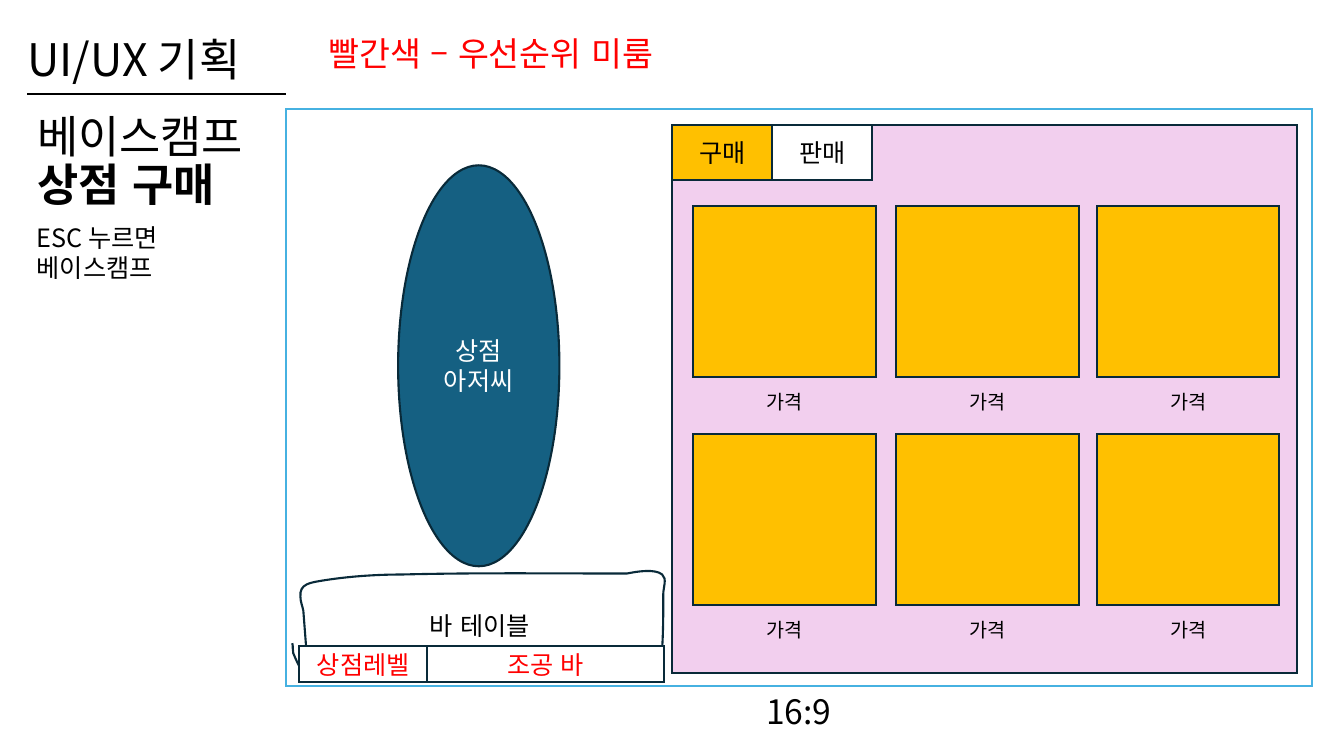
from pptx import Presentation
from pptx.dml.color import RGBColor
from pptx.enum.lang import MSO_LANGUAGE_ID
from pptx.enum.shapes import MSO_CONNECTOR, MSO_SHAPE
from pptx.enum.text import MSO_ANCHOR, PP_ALIGN
from pptx.oxml.ns import qn
from pptx.util import Pt
from lxml import etree

RECT, OVAL = MSO_SHAPE.RECTANGLE, MSO_SHAPE.OVAL
STRAIGHT = MSO_CONNECTOR.STRAIGHT
TOP, MIDDLE = MSO_ANCHOR.TOP, MSO_ANCHOR.MIDDLE
LEFT, CENTER = PP_ALIGN.LEFT, PP_ALIGN.CENTER
KOREAN = MSO_LANGUAGE_ID.KOREAN

BLACK = RGBColor(0x00, 0x00, 0x00)
WHITE = RGBColor(0xFF, 0xFF, 0xFF)
RED = RGBColor(0xFF, 0x00, 0x00)
NAVY = RGBColor(0x09, 0x2A, 0x39)
TEAL = RGBColor(0x15, 0x60, 0x82)
SKY = RGBColor(0x46, 0xB1, 0xE1)
PINK = RGBColor(0xF2, 0xCF, 0xEE)
GOLD = RGBColor(0xFF, 0xC0, 0x00)
FONT = "Noto Sans CJK KR"

prs = Presentation()
prs.slide_width, prs.slide_height = Pt(960), Pt(540)
slide = prs.slides.add_slide(prs.slide_layouts[6])
shapes = slide.shapes


def write(shape, text, size, color, align=LEFT, anchor=MIDDLE, spacing=1.0):
    frame = shape.text_frame
    frame.text = text
    frame.word_wrap = True
    frame.vertical_anchor = anchor
    for paragraph in frame.paragraphs:
        paragraph.alignment = align
        paragraph.line_spacing = spacing
        for run in paragraph.runs:
            style = {"size": Pt(size), "name": FONT, "language_id": KOREAN}
            for key, value in style.items():
                setattr(run.font, key, value)
            run.font.color.rgb = color
            east_asian = etree.SubElement(run.font._element, qn("a:ea"))
            east_asian.set("typeface", FONT)
    return frame


def paint(shape, fill=None, outline=NAVY):
    shape.shadow.inherit = False
    if fill is None:
        shape.fill.background()
    else:
        shape.fill.solid()
        shape.fill.fore_color.rgb = fill
    shape.line.color.rgb = outline
    shape.line.width = Pt(1.5)
    corner = etree.SubElement(shape._element.spPr.find(qn("a:ln")), qn("a:miter"))
    corner.set("lim", "800000")
    return shape


headings = [
    ((12.4, 9.4, 828, 69.1), "UI/UX 기획", 32, BLACK),
    ((19.4, 67, 178.6, 98.6), "베이스캠프\v상점 구매", 32, BLACK),
    ((540.3, 481, 90, 57.6), "16:9", 24, BLACK),
    ((227.5, 10.8, 311, 57.6), "빨간색 – 우선순위 미룸", 24, RED),
]
for box, text, size, color in headings:
    label = shapes.add_textbox(*map(Pt, box))
    frame = write(label, text, size, color, spacing=0.9)
    for bold_run in frame.paragraphs[0].runs[1:]:
        bold_run.font.bold = True

escape_hint = shapes.add_textbox(*map(Pt, (19.2, 155.3, 480, 51.1)))
write(escape_hint, "ESC 누르면\n베이스캠프", 18, BLACK, anchor=TOP)

heading_rule = shapes.add_connector(STRAIGHT, Pt(19.4), Pt(67), Pt(204), Pt(67))
heading_rule.line.color.rgb = BLACK
heading_rule.line.width = Pt(1.5)
etree.SubElement(heading_rule._element.spPr, qn("a:effectLst"))

paint(shapes.add_shape(RECT, *map(Pt, (204.1, 77.8, 733, 412.4))), outline=SKY)

shopkeeper = paint(shapes.add_shape(OVAL, *map(Pt, (284.4, 118.1, 115.2, 286.4))), TEAL)
write(shopkeeper, "상점\n아저씨", 18, WHITE, CENTER)

paint(shapes.add_shape(RECT, *map(Pt, (480.2, 89.1, 446.4, 391.7))), PINK)

counter_start = (218.9, 465.1)
counter_curves = [
    ((218.2, 455.8), (217.4, 445.7), (216.7, 436.3)),
    ((216, 432.7), (214.6, 429.8), (214.6, 426.2)),
    ((213.8, 416.9), (221.8, 416.2), (230.4, 414.7)),
    ((248.4, 411.8), (267.8, 410.4), (286.6, 410.4)),
    ((339.8, 409), (393.8, 409.7), (447.8, 409.7)),
    ((455, 408.2), (468, 406.1), (473, 410.4)),
    ((476.6, 413.3), (473.8, 419.8), (473.8, 424.1)),
    ((473.8, 437), (473.8, 450), (473, 463)),
    ((473, 466.6), (471.6, 470.9), (470.9, 474.5)),
    ((470.9, 475.9), (470.2, 477.4), (470.2, 479.5)),
    ((470.2, 480.2), (470.2, 481.7), (469.4, 483.1)),
    ((468, 483.8), (466.6, 483.8), (465.1, 484.6)),
    ((460.8, 485.3), (456.5, 486), (452.2, 486.7)),
    ((234, 486),),
    ((231.1, 486), (224.6, 484.6), (221, 484.6)),
    ((214.6, 477.4), (214.6, 478.8), (209.5, 466.6)),
    ((208.8, 464.4), (209.5, 462.2), (208.8, 459.4)),
]
counter_outline = shapes.build_freeform(*map(Pt, counter_start))
for curve in counter_curves:
    counter_outline.add_line_segments([tuple(map(Pt, point)) for point in curve], close=False)
counter = paint(counter_outline.convert_to_shape())
segments = iter(list(counter._element.iter(qn("a:lnTo"))))
for curve in counter_curves:
    first = next(segments)
    for _ in curve[1:]:
        control = next(segments)
        first.append(control[0])
        control.getparent().remove(control)
    if len(curve) == 3:
        first.tag = qn("a:cubicBezTo")
write(counter, "바 테이블", 18, BLACK, CENTER)

ITEM_WIDTH, ITEM_HEIGHT = 130.3, 122.2
for item_top in (147.4, 310.2):
    for item_left in (495.2, 640.3, 783.6):
        paint(shapes.add_shape(
            RECT, Pt(item_left), Pt(item_top), Pt(ITEM_WIDTH), Pt(ITEM_HEIGHT)), GOLD)
        price = shapes.add_textbox(
            Pt(item_left), Pt(item_top + 127.6), Pt(ITEM_WIDTH), Pt(24.5))
        write(price, "가격", 14, BLACK, CENTER, TOP)

buttons = [
    ((480.2, 89.1, 71.4, 39.7), "구매", GOLD, BLACK),
    ((551.6, 89.1, 71.4, 39.7), "판매", WHITE, BLACK),
    ((305.2, 461.7, 169.2, 25.2), "조공 바", WHITE, RED),
    ((213.7, 461.7, 91.5, 25.2), "상점레벨", WHITE, RED),
]
for box, text, fill, color in buttons:
    button = paint(shapes.add_shape(RECT, *map(Pt, box)), fill)
    write(button, text, 18, color, CENTER)

prs.save("out.pptx")
